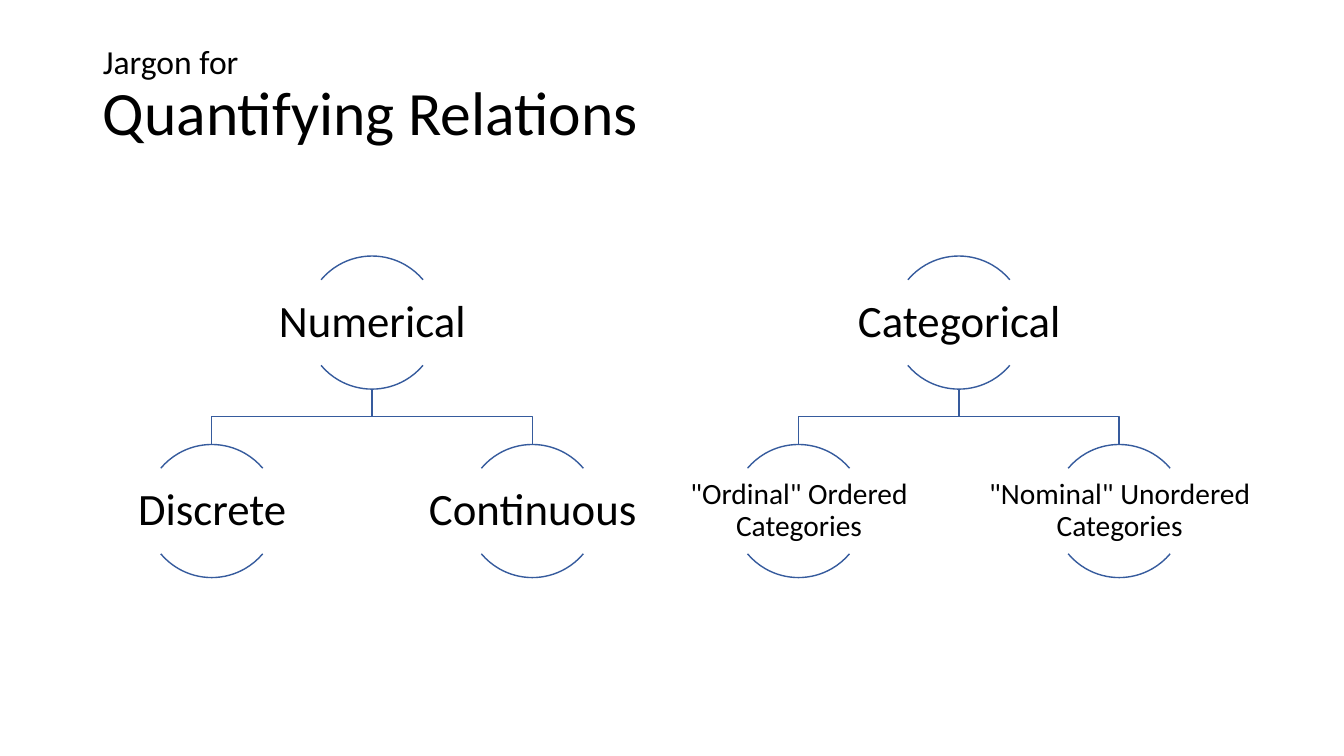
from pptx import Presentation
from pptx.dml.color import RGBColor
from pptx.enum.shapes import MSO_SHAPE
from pptx.enum.text import MSO_ANCHOR, MSO_AUTO_SIZE, PP_ALIGN
from pptx.util import Emu, Pt

PX = 9144
BLACK = RGBColor(0x00, 0x00, 0x00)
BLUE = RGBColor(0x36, 0x5B, 0x9D)
FONT = "Calibri"

DIAMETER = 132
LABEL_W, LABEL_H = 263, 84
ROOT_TOP, CHILD_TOP = 254, 441
BRANCH = 159
ARCS = ((132, 192), (24, 84))
TREES = (
    (951, "Categorical",
     ('"Ordinal" Ordered Categories', '"Nominal" Unordered Categories'), 21),
    (369, "Numerical", ("Discrete", "Continuous"), 32),
)


class TreeSlide:
    """Draws a title and trees of arc-framed labels on one slide."""

    def __init__(self, prs):
        self.slide = prs.slides.add_slide(prs.slide_layouts[5])

    def place(self, sp, x, y, w, h):
        sp.left, sp.top, sp.width, sp.height = (Emu(v * PX) for v in (x, y, w, h))

    def outline(self, sp):
        sp.shadow.inherit = False
        sp.fill.background()
        sp.line.color.rgb = BLUE
        sp.line.width = Pt(1)

    def style(self, tf, align, sizes):
        tf.word_wrap = True
        tf.auto_size = MSO_AUTO_SIZE.NONE
        tf.vertical_anchor = MSO_ANCHOR.MIDDLE
        p = tf.paragraphs[0]
        p.alignment = align
        p.line_spacing = 0.9
        for r, size in zip(p.runs, sizes):
            r.font.name = FONT
            r.font.size = Pt(size)
            r.font.color.rgb = BLACK

    def title(self, text, sizes):
        sp = self.slide.shapes.title
        self.place(sp, 92, 24, 1150, 145)
        sp.text_frame.text = text
        self.style(sp.text_frame, PP_ALIGN.LEFT, sizes)

    def branch(self, shapes, x, child_x):
        top = ROOT_TOP + DIAMETER
        mid = (top + CHILD_TOP) // 2
        fb = shapes.build_freeform(x, top, scale=PX)
        fb.add_line_segments([(x, mid), (child_x, mid), (child_x, CHILD_TOP)], close=False)
        self.outline(fb.convert_to_shape())

    def node(self, shapes, x, y, text, size):
        for start, end in ARCS:
            sp = shapes.add_shape(MSO_SHAPE.ARC, 0, 0, 0, 0)
            self.place(sp, x - DIAMETER // 2, y, DIAMETER, DIAMETER)
            sp.adjustments[0], sp.adjustments[1] = start, end
            self.outline(sp)
        sp = shapes.add_textbox(0, 0, 0, 0)
        self.place(sp, x - LABEL_W // 2, y + (DIAMETER - LABEL_H) // 2, LABEL_W, LABEL_H)
        tf = sp.text_frame
        tf.margin_left = tf.margin_right = tf.margin_top = tf.margin_bottom = Emu(PX)
        tf.text = text
        self.style(tf, PP_ALIGN.CENTER, (size,))

    def tree(self, x, root, children, child_size):
        shapes = self.slide.shapes.add_group_shape().shapes
        child_xs = (x - BRANCH, x + BRANCH)
        for child_x in child_xs:
            self.branch(shapes, x, child_x)
        self.node(shapes, x, ROOT_TOP, root, 32)
        for child_x, text in zip(child_xs, children):
            self.node(shapes, child_x, CHILD_TOP, text, child_size)


def main():
    prs = Presentation()
    prs.slide_width, prs.slide_height = Emu(1333 * PX), Emu(750 * PX)
    s = TreeSlide(prs)
    s.title("Jargon for\vQuantifying Relations", (24, 44))
    for tree in TREES:
        s.tree(*tree)
    prs.save("out.pptx")


if __name__ == "__main__":
    main()
